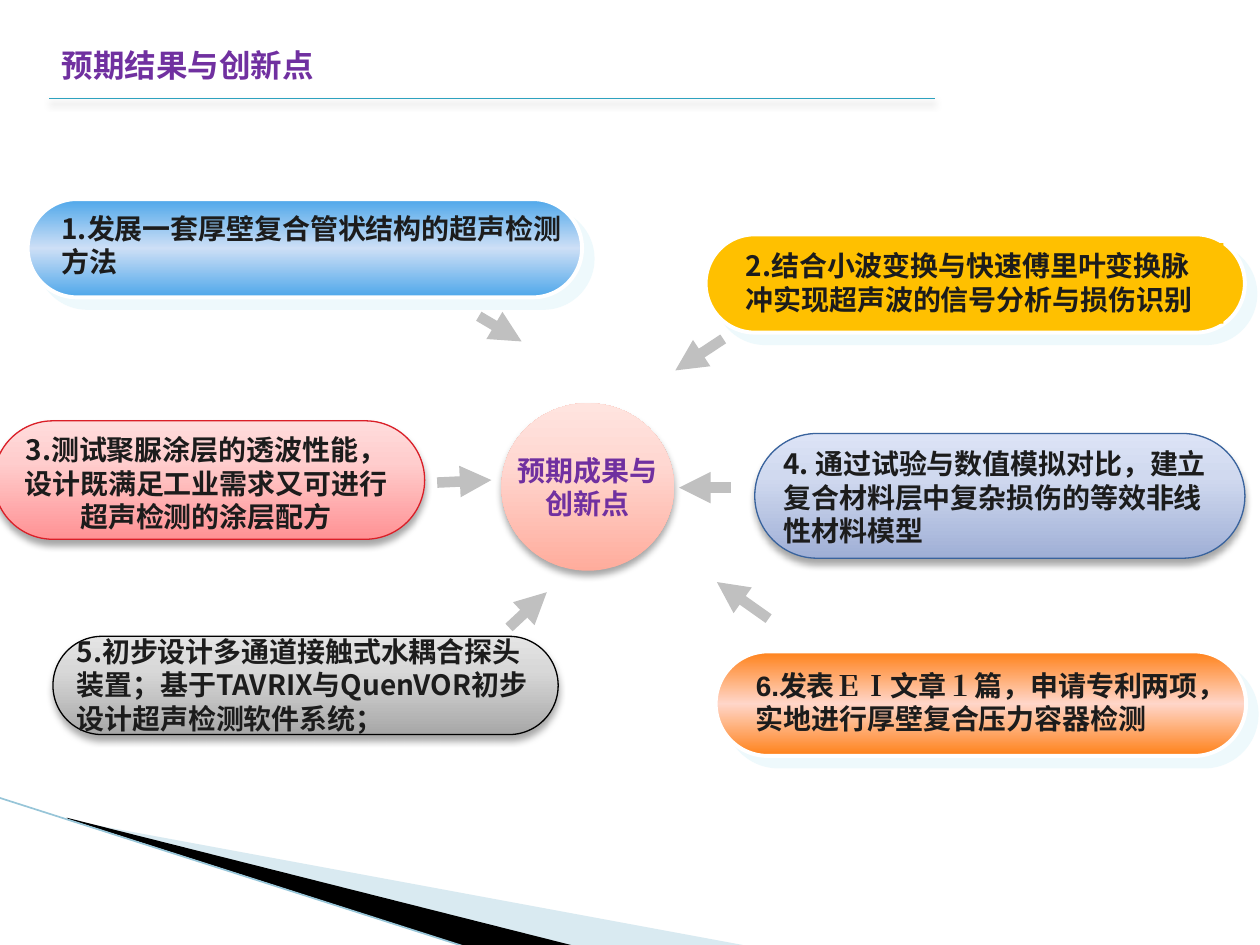
from lxml.etree import SubElement
from pptx import Presentation
from pptx.dml.color import RGBColor
from pptx.enum.shapes import MSO_CONNECTOR, MSO_SHAPE
from pptx.enum.text import MSO_ANCHOR, MSO_AUTO_SIZE, PP_ALIGN
from pptx.oxml.ns import qn
from pptx.util import Pt

PX = 9144
SANS = "Noto Sans CJK SC"
INK, VIOLET, GOLD = "1C1C1C", "7030A0", "FFC000"
GLOW = ("DEF5FA", 50, 0, 8.5, 45)
SOFT = ("000000", 35, 4, 3, 90)
RULE = ("000000", 40, 4, 3, 90)

ARROWS = [
    (380, 251, 414, 271), (404, 498, 434, 470), (347, 383, 390, 381),
    (610, 491, 569, 462), (574, 269, 536, 294), (580, 387, 539, 387),
]

WHITE = dict(line="FFFFFF", width=2.25, glow=GLOW)
POINTS = [
    dict(pill=(22, 158, 440, 78), box=(39, 163, 417, 64),
         fill=("4EA7EA", "CDDFF6", "4EA7EA"), look=dict(WHITE, mid=50, angle=90),
         text="1.发展一套厚壁复合管状结构的超声检测方法"),
    dict(pill=(560, 186, 428, 78), box=(582, 193, 389, 64),
         fill=GOLD, look=WHITE, back=GOLD,
         text="2.结合小波变换与快速傅里叶变换脉冲实现超声波的信号分析与损伤识别"),
    dict(pill=(-5, 334, 342, 94), box=(0, 339, 327, 91),
         fill=("FF9294", "FFCDCD", "FFDCDC"), look=dict(line="DA1F28"),
         align=PP_ALIGN.CENTER,
         text="3.测试聚脲涂层的透波性能，设计既满足工业需求又可进行超声检测的涂层配方"),
    dict(pill=(599, 344, 389, 99), box=(612, 350, 363, 91),
         fill=("9FAFD6", "D0D9EF", "DCE3F6"), look=dict(line="39639D"),
         text="4. 通过试验与数值模拟对比，建立复合材料层中复杂损伤的等效非线性材料模型"),
    dict(pill=(42, 505, 401, 78), box=(51, 499, 386, 91),
         fill=("A7A7A7", "D8D8D8", "E4E4E4"), look=dict(line="000000"),
         text="5.初步设计多通道接触式水耦合探头装置；基于TAVRIX与QuenVOR初步设计超声检测软件系统；"),
    dict(pill=(568, 517, 421, 83), box=(590, 526, 383, 91),
         fill=("FF8119", "FFD6C9", "FF8119"), look=dict(WHITE, mid=50, angle=90),
         text=[("6.发表", "Arial"), ("ＥＩ", "Times New Roman"), ("文章", "Arial"),
               ("１", "Times New Roman"),
               ("篇，申请专利两项，实地进行厚壁复合压力容器检测", "Arial")]),
]


def px(*nums):
    """Turn px lengths into EMU."""
    return [num * PX for num in nums]


def color(code):
    """Give the colour of a hex string."""
    return RGBColor.from_string(code)


def tint(node, code, alpha):
    """Add a colour with an opacity in percent to an XML node."""
    tone = SubElement(node, qn("a:srgbClr"), val=code)
    SubElement(tone, qn("a:alpha"), val=str(alpha * 1000))


def shade(item, glow=None):
    """Replace the theme shadow of a shape or connector."""
    effects = SubElement(item._element.spPr, qn("a:effectLst"))
    if glow:
        code, alpha, blur, far, turn = glow
        cast = SubElement(effects, qn("a:outerShdw"), blurRad=str(Pt(blur)),
                          dist=str(Pt(far)), dir=str(turn * 60000),
                          algn="ctr", rotWithShape="0")
        tint(cast, code, alpha)


def paint(shape, fill, mid=65, angle=270):
    """Fill a shape with one colour or a three-stop gradient."""
    if isinstance(fill, str):
        shape.fill.solid()
        shape.fill.fore_color.rgb = color(fill)
        return
    shape.fill.gradient()
    shape.fill.gradient_angle = 360 - angle
    stops = shape._element.spPr.find(".//" + qn("a:gsLst"))
    stops.clear()
    for spot, code in zip((0, mid, 100), fill):
        stop = SubElement(stops, qn("a:gs"), pos=str(spot * 1000))
        tint(stop, code, 100)


def write(frame, text, font=SANS, size=16, ink=INK, align=PP_ALIGN.LEFT, lead=19):
    """Write lines of text, or one list of text and font pairs."""
    lines = [text] if isinstance(text, list) else [[(row, font)] for row in text.split("\n")]
    for i, parts in enumerate(lines):
        para = frame.add_paragraph() if i else frame.paragraphs[0]
        para.alignment = align
        para.line_spacing = Pt(lead)
        for words, face in parts:
            run = para.add_run()
            run.text = words
            run.font.size = Pt(size)
            run.font.bold = True
            run.font.color.rgb = color(ink)
            run.font.name = face
            SubElement(run._r.get_or_add_rPr(), qn("a:ea"), typeface=face)


def block(slide, kind, place, fill, line=None, width=0.75, glow=SOFT, **blend):
    """Add a filled preset shape with a shadow."""
    shape = slide.shapes.add_shape(kind, *px(*place))
    paint(shape, fill, **blend)
    if line:
        shape.line.color.rgb = color(line)
        shape.line.width = Pt(width)
    else:
        shape.line.fill.background()
    shade(shape, glow)
    return shape


def label(slide, place, text, back=None, **style):
    """Add a wrapped text box that fits its text."""
    box = slide.shapes.add_textbox(*px(*place))
    box.text_frame.word_wrap = True
    box.text_frame.auto_size = MSO_AUTO_SIZE.SHAPE_TO_FIT_TEXT
    if back:
        paint(box, back)
    write(box.text_frame, text, **style)


def link(slide, ends, ink, width, glow=None, arrow=False):
    """Add a straight line or arrow."""
    line = slide.shapes.add_connector(MSO_CONNECTOR.STRAIGHT, *px(*ends))
    line.line.color.rgb = color(ink)
    line.line.width = Pt(width)
    if arrow:
        SubElement(line.line._get_or_add_ln(), qn("a:tailEnd"), type="triangle")
    shade(line, glow)


def wedge(slide, dots, fill, alpha=100):
    """Add a filled outline through the given dots."""
    pen = slide.shapes.build_freeform(*dots[0], scale=PX)
    pen.add_line_segments(dots[1:], close=True)
    shape = pen.convert_to_shape()
    paint(shape, fill)
    tone = shape._element.spPr.find(".//" + qn("a:srgbClr"))
    SubElement(tone, qn("a:alpha"), val=str(alpha * 1000))
    shape.line.fill.background()
    shade(shape)


def head(slide, text):
    """Place and format the title with its rule."""
    link(slide, (39, 78, 742, 78), "2DA2BF", 0.75, glow=RULE)
    title = slide.shapes.title
    title.left, title.top, title.width, title.height = px(39, 31, 773, 78)
    frame = title.text_frame
    frame.auto_size = MSO_AUTO_SIZE.NONE
    frame.vertical_anchor = MSO_ANCHOR.TOP
    write(frame, text, size=18, ink=VIOLET, lead=22)


def hub(slide, text):
    """Add the centre circle."""
    disc = block(slide, MSO_SHAPE.OVAL, (398, 320, 137, 133),
                 ("FFAC9C", "FFD8D2", "FFE4DF"))
    disc.text_frame.word_wrap = False
    disc.text_frame.vertical_anchor = MSO_ANCHOR.MIDDLE
    write(disc.text_frame, text, font="Arial", ink=VIOLET, align=PP_ALIGN.CENTER)


def point(slide, pill, box, fill, look, text, **style):
    """Add one numbered point: a pill and its text."""
    shape = block(slide, MSO_SHAPE.ROUNDED_RECTANGLE, pill, fill, **look)
    shape.adjustments[0] = 0.5
    label(slide, box, text, **style)


def main():
    """Build and save the slide."""
    deck = Presentation()
    deck.slide_width, deck.slide_height = px(1000, 750)
    slide = deck.slides.add_slide(deck.slide_layouts[5])
    wedge(slide, [(55, 651), (595, 751), (456, 751), (55, 650)], "A0CBDC", alpha=40)
    wedge(slide, [(53, 649), (457, 751), (372, 752), (54, 650)], "000000")
    link(slide, (-1, 633, 371, 752), "97C5D8", 0.95)
    head(slide, "预期结果与创新点")
    for ends in ARROWS:
        link(slide, ends, "C0C0C0", 6, arrow=True)
    hub(slide, "预期成果与\n创新点")
    for item in POINTS:
        point(slide, **item)
    deck.save("out.pptx")


if __name__ == "__main__":
    main()
